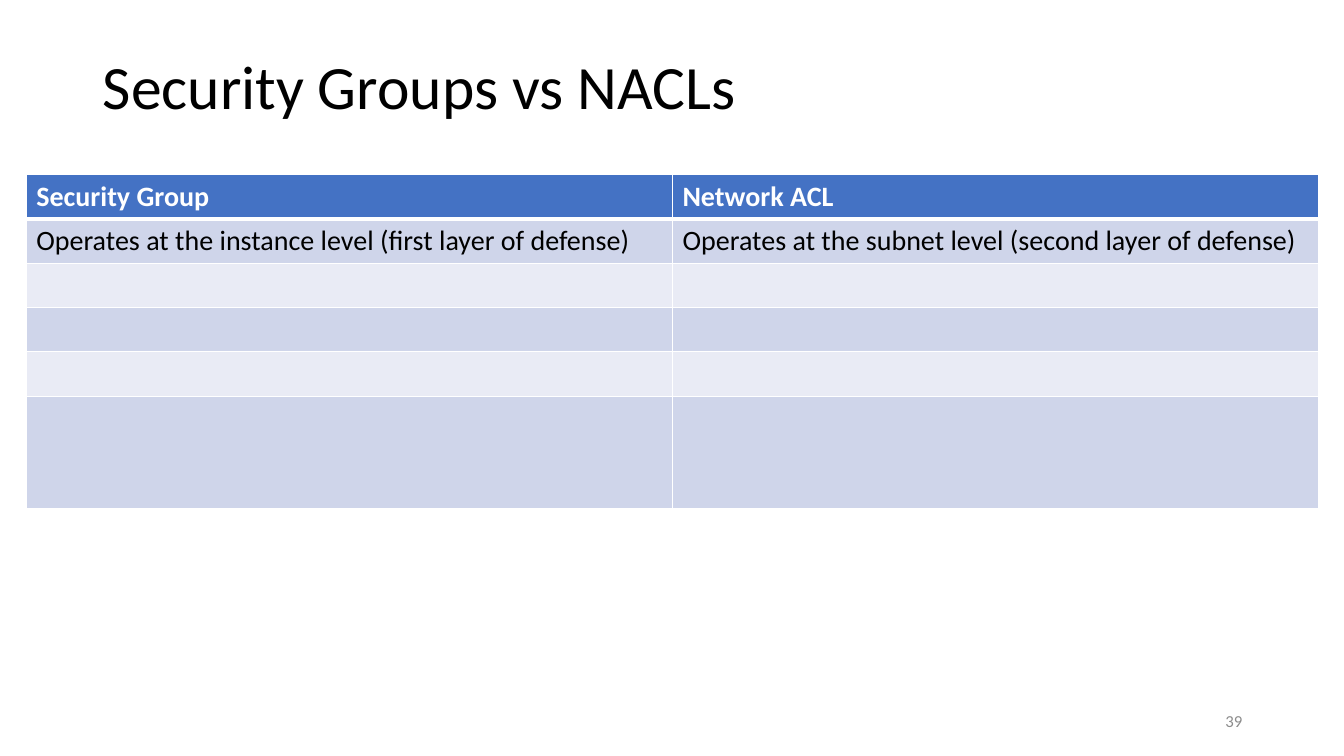
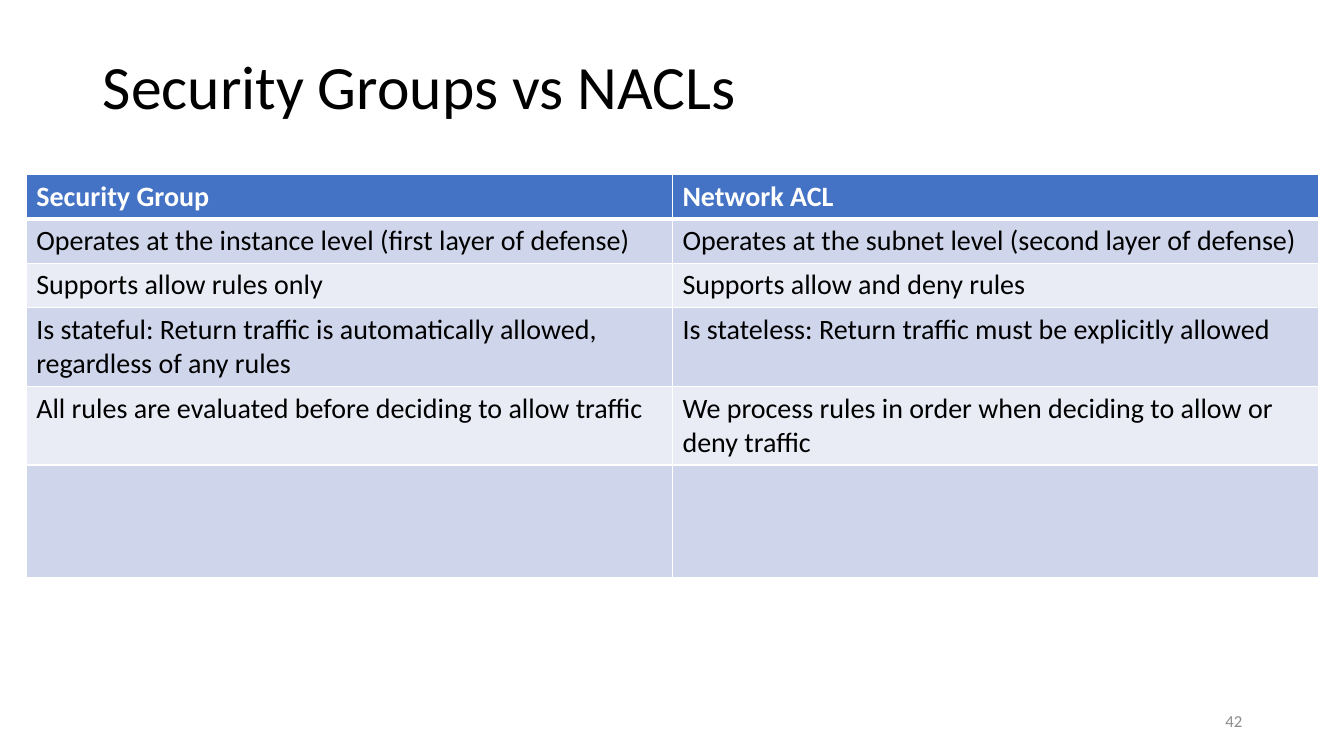
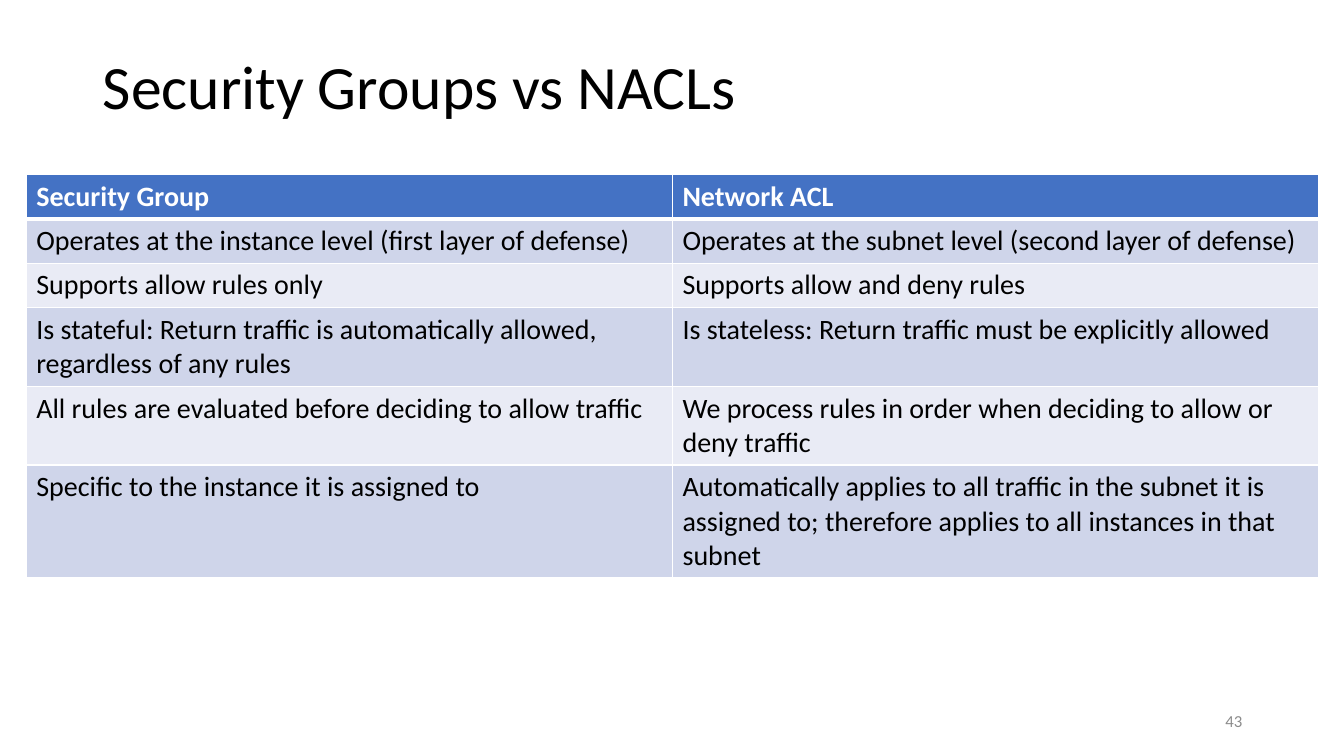
from pptx import Presentation
from pptx.dml.color import RGBColor
from pptx.enum.text import MSO_ANCHOR as Anchor, PP_ALIGN as Align
from pptx.oxml import parse_xml
from pptx.oxml.ns import nsdecls
from pptx.util import Inches, Pt

WHITE = RGBColor(0xFF, 0xFF, 0xFF)
BLACK = RGBColor(0x00, 0x00, 0x00)
GRAY = RGBColor(0x8C, 0x8C, 0x8C)
BLUE = RGBColor(0x44, 0x72, 0xC4)
BANDS = RGBColor(0xE9, 0xEB, 0xF5), RGBColor(0xCF, 0xD5, 0xEA)

TITLE = "Security Groups vs NACLs"
ROWS = [
    ("Security Group", "Network ACL", 1),
    ("Operates at the instance level (first layer of defense)",
     "Operates at the subnet level (second layer of defense)", 1),
    ("Supports allow rules only", "Supports allow and deny rules", 1),
    ("Is stateful: Return traffic is automatically allowed, regardless of any rules",
     "Is stateless: Return traffic must be explicitly allowed", 2),
    ("All rules are evaluated before deciding to allow traffic",
     "We process rules in order when deciding to allow or deny traffic", 2),
    ("Specific to the instance it is assigned to",
     "Automatically applies to all traffic in the subnet it is assigned to; "
     "therefore applies to all instances in that subnet", 3),
]
SLIDES = [(39, 2), (42, 5), (43, 6)]

FONTS = {
    "title": {"name": "Calibri", "size": Pt(44), "color": BLACK},
    "head": {"name": "Calibri", "size": Pt(20), "color": WHITE, "bold": True},
    "body": {"name": "Calibri", "size": Pt(20), "color": BLACK, "bold": False},
    "number": {"name": "Calibri", "size": Pt(12), "color": GRAY},
}
TITLE_BOX = [Inches(v) for v in (0.92, 0.4, 11.5, 0.97)]
NUMBER_BOX = [Inches(v) for v in (9.42, 6.95, 3, 0.4)]
TABLE_LEFT, TABLE_TOP, COL_W = 0.26, 1.73, 6.41
LINE_H, CELL_PAD = 0.34, 0.1


def write(p, text, style):
    r = p.add_run()
    r.text = text
    for key, value in FONTS[style].items():
        if key == "color":
            r.font.color.rgb = value
        else:
            setattr(r.font, key, value)


def set_borders(cell, **widths):
    tcPr = cell._tc.get_or_add_tcPr()
    for side in "LRTB":
        tcPr.append(parse_xml(
            f'<a:ln{side} {nsdecls("a")} w="{Pt(widths.get(side, 1))}">'
            f'<a:solidFill><a:srgbClr val="{WHITE}"/></a:solidFill></a:ln{side}>'))


def add_title(s):
    tf = s.shapes.title.text_frame
    tf.vertical_anchor = Anchor.MIDDLE
    p = tf.paragraphs[0]
    p.alignment, p.line_spacing = Align.LEFT, 0.9
    write(p, TITLE, "title")


def add_comparison(s, shown):
    last = len(ROWS) - 1
    heights = [CELL_PAD + LINE_H * (row[-1] if i < shown or i == last else 1)
               for i, row in enumerate(ROWS)]
    table = s.shapes.add_table(
        len(ROWS), 2, Inches(TABLE_LEFT), Inches(TABLE_TOP),
        Inches(2 * COL_W), Inches(sum(heights))).table
    for i, (*texts, _) in enumerate(ROWS):
        table.rows[i].height = Inches(heights[i])
        for j, text in enumerate(texts):
            cell = table.cell(i, j)
            set_borders(cell, **{0: {"B": 3}, 1: {"T": 3}}.get(i, {}))
            cell.fill.solid()
            cell.fill.fore_color.rgb = BANDS[i % 2] if i else BLUE
            if i < shown:
                write(cell.text_frame.paragraphs[0], text, "body" if i else "head")


def add_number(s, number):
    tf = s.shapes.add_textbox(*NUMBER_BOX).text_frame
    tf.word_wrap, tf.vertical_anchor = True, Anchor.MIDDLE
    p = tf.paragraphs[0]
    p.alignment = Align.RIGHT
    write(p, str(number), "number")


def main():
    prs = Presentation()
    prs.slide_width, prs.slide_height = Inches(13.33), Inches(7.5)
    layout = prs.slide_layouts.get_by_name("Title Only")
    sp = layout.placeholders[0]
    sp.left, sp.top, sp.width, sp.height = TITLE_BOX
    for number, shown in SLIDES:
        s = prs.slides.add_slide(layout)
        add_title(s)
        add_comparison(s, shown)
        add_number(s, number)
    prs.save("out.pptx")


if __name__ == "__main__":
    main()
